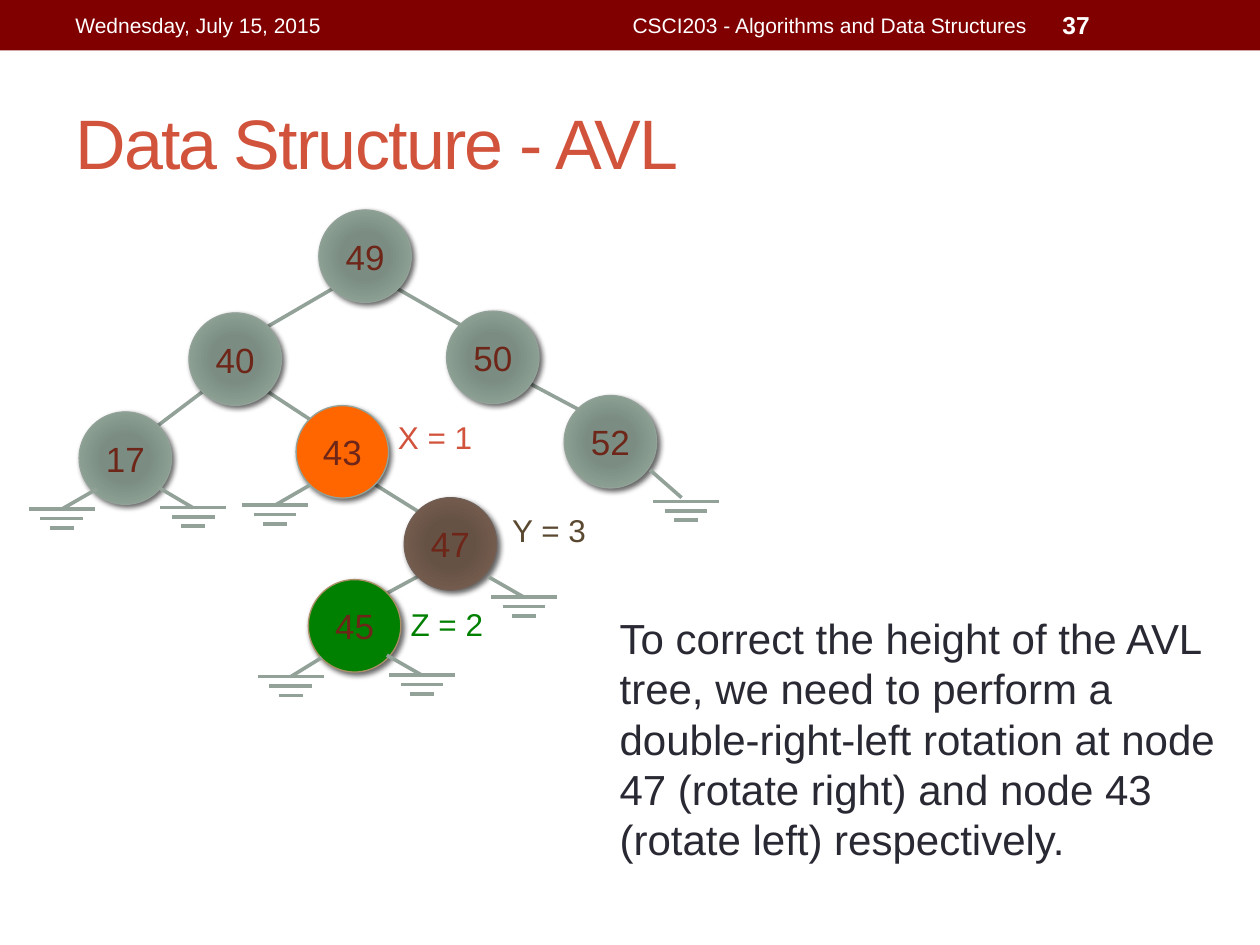
import dataclasses
import math

import lxml.etree
import pptx
import pptx.dml.color
import pptx.enum.shapes
import pptx.enum.text
import pptx.oxml
import pptx.oxml.ns
import pptx.util

Pt = pptx.util.Pt
RGB = pptx.dml.color.RGBColor.from_string
ALIGN = pptx.enum.text.PP_ALIGN
ANCHOR = pptx.enum.text.MSO_ANCHOR
AUTO = pptx.enum.text.MSO_AUTO_SIZE
SHAPE = pptx.enum.shapes.MSO_SHAPE
qn = pptx.oxml.ns.qn
NS = 'xmlns:a="http://schemas.openxmlformats.org/drawingml/2006/main"'


@dataclasses.dataclass(frozen=True)
class Theme:
    font: str = "Arial"
    bar: str = "800000"
    white: str = "FFFFFF"
    title: str = "D2533C"
    body: str = "292934"
    node_text: str = "6E2619"
    sage: str = "93A299"
    tan: str = "AD8F67"
    brown: str = "726056"
    orange: str = "FF6600"
    green: str = "008000"
    y_label: str = "5A4830"
    sage_fill: tuple = ("7B8E82", "7B8D83", "8A9E92", "93A299")
    brown_fill: tuple = ("685044", "665145", "725A4D", "726056")
    title_size: int = 40
    body_size: int = 24
    node_size: int = 20
    label_size: int = 18
    number_size: int = 14
    header_size: int = 12


T = Theme()
prs = pptx.Presentation()
prs.slide_width, prs.slide_height = Pt(720), Pt(540)
s = prs.slides.add_slide(prs.slide_layouts[6])


def write(sp, text, size, color, align=ALIGN.LEFT, anchor=ANCHOR.MIDDLE,
          bold=False, wrap=True, auto=AUTO.NONE, spacing=0):
    tf = sp.text_frame
    tf.word_wrap, tf.auto_size, tf.vertical_anchor = wrap, auto, anchor
    p = tf.paragraphs[0]
    p.alignment = align
    r = p.add_run()
    r.text = text
    r.font.name, r.font.size, r.font.bold = T.font, Pt(size), bold
    r.font.color.rgb = RGB(color)
    if spacing:
        r._r.get_or_add_rPr().set("spc", str(spacing * 100))


def line(x1, y1, x2, y2):
    c = s.shapes.add_connector(pptx.enum.shapes.MSO_CONNECTOR.STRAIGHT,
                               Pt(x1), Pt(y1), Pt(x2), Pt(y2))
    c.line.color.rgb, c.line.width = RGB(T.sage), Pt(2.08)
    lxml.etree.SubElement(c._element.spPr, qn("a:effectLst"))


# Header bar
bar = s.shapes.add_shape(SHAPE.RECTANGLE, 0, 0, Pt(720), Pt(28.8))
bar.shadow.inherit = False
bar.fill.solid()
bar.fill.fore_color.rgb = RGB(T.bar)
bar.line.fill.background()

# Tree: key -> left, top, fill, outline
SIZE = 52.8
nodes = {
    17: (45.2, 235.4, T.sage_fill, T.sage),
    43: (169.2, 231.8, T.orange, T.sage),
    52: (322.4, 226, T.sage_fill, T.sage),
    50: (255.2, 177.8, T.sage_fill, T.sage),
    49: (182.2, 120, T.sage_fill, T.sage),
    40: (108, 178.8, T.sage_fill, T.sage),
    47: (231, 284.4, T.brown_fill, T.brown),
    45: (176.2, 331.2, T.green, T.tan),
}
DIAGONAL = SIZE / 2 * math.sqrt(0.5)

# Edges: parent, child, direction (-1 left, 1 right), nudge of the start
edges = [
    (49, 40, -1, (0, 0)), (49, 50, 1, (0, 0)), (40, 17, -1, (0, 0)),
    (40, 43, 1, (0, 0)), (43, 47, 1, (0, 0)), (47, 45, -1, (0, 0)),
    (50, 52, 1, (-4.5, -7.4)),
]
for parent, child, side, (dx, dy) in edges:
    (px, py), (cx, cy) = [[v + SIZE / 2 for v in nodes[key][:2]]
                          for key in (parent, child)]
    line(px + side * DIAGONAL + dx, py + DIAGONAL + dy,
         cx - side * DIAGONAL, cy - DIAGONAL)

for key, (x, y, fill, outline) in nodes.items():
    sp = s.shapes.add_shape(SHAPE.OVAL, Pt(x), Pt(y), Pt(SIZE), Pt(SIZE))
    sp.line.color.rgb, sp.line.width = RGB(outline), Pt(0.75)
    if isinstance(fill, tuple):
        stops = "".join(f'<a:gs pos="{pos}000"><a:srgbClr val="{color}"/></a:gs>'
                        for pos, color in zip((0, 34, 70, 100), fill))
        gradient = pptx.oxml.parse_xml(
            f'<a:gradFill {NS} rotWithShape="1"><a:gsLst>{stops}</a:gsLst>'
            '<a:path path="circle"><a:fillToRect l="100000" t="100000" '
            'r="100000" b="100000"/></a:path></a:gradFill>')
        sp._element.spPr.find(qn("a:prstGeom")).addnext(gradient)
    else:
        sp.fill.solid()
        sp.fill.fore_color.rgb = RGB(fill)
    sp._element.spPr.append(pptx.oxml.parse_xml(
        f'<a:effectLst {NS}><a:outerShdw blurRad="38100" dist="25400" '
        'dir="2700000" rotWithShape="0"><a:srgbClr val="000000">'
        '<a:alpha val="60000"/></a:srgbClr></a:outerShdw></a:effectLst>'))
    write(sp, str(key), T.node_size, T.node_text, align=ALIGN.CENTER)

# Empty children: stub start, stub end, centre of the top ground bar
grounds = [
    ((55.4, 279.4), (35.4, 290.9), (35.3, 290.9)),
    ((90.7, 278.6), (110.3, 290.2), (110.4, 290)),
    ((177.1, 277.2), (157.2, 288.7), (157.2, 288.6)),
    ((371.5, 268.6), (389.5, 284.4), (392, 286.5)),
    ((279.4, 329.8), (299.5, 341.3), (299.5, 341.3)),
    ((221.1, 374.4), (241.2, 385.9), (241.2, 385.7)),
    ((183.8, 375.8), (166.3, 386.6), (166.2, 386.7)),
]
for start, end, (x, y) in grounds:
    line(*start, *end)
    for width, drop in ((37.8, 0), (24.4, 5.4), (13.6, 10.7)):
        line(x - width / 2, y + drop, x + width / 2, y + drop)

# Text: box, wording, size, colour, further format
label = dict(anchor=ANCHOR.TOP, wrap=False, auto=AUTO.SHAPE_TO_FIT_TEXT)
texts = [
    ((36, 41.8, 648, 77.8), "Data Structure - AVL", T.title_size, T.title,
     dict(spacing=-1)),
    ((36, 1.4, 228, 26), "Wednesday, July 15, 2015", T.header_size, T.white, {}),
    ((270, 1.4, 324, 26), "CSCI203 - Algorithms and Data Structures",
     T.header_size, T.white, dict(align=ALIGN.RIGHT)),
    ((600, 1.4, 84, 26), "37", T.number_size, T.white, dict(bold=True)),
    ((220.3, 235.4, 57.6, 29), "X = 1", T.label_size, T.title, label),
    ((285.6, 288.7, 57, 29), "Y = 3", T.label_size, T.y_label, label),
    ((227.5, 342, 56.2, 29), "Z = 2", T.label_size, T.green, label),
    ((347, 346.3, 358.6, 152.6),
     "To correct the height of the AVL tree, we need to perform a "
     "double-right-left rotation at node 47 (rotate right) and node 43 "
     "(rotate left) respectively.", T.body_size, T.body,
     dict(anchor=ANCHOR.TOP, auto=AUTO.SHAPE_TO_FIT_TEXT)),
]
for box, text, size, color, extra in texts:
    write(s.shapes.add_textbox(*map(Pt, box)), text, size, color, **extra)

prs.save("out.pptx")
